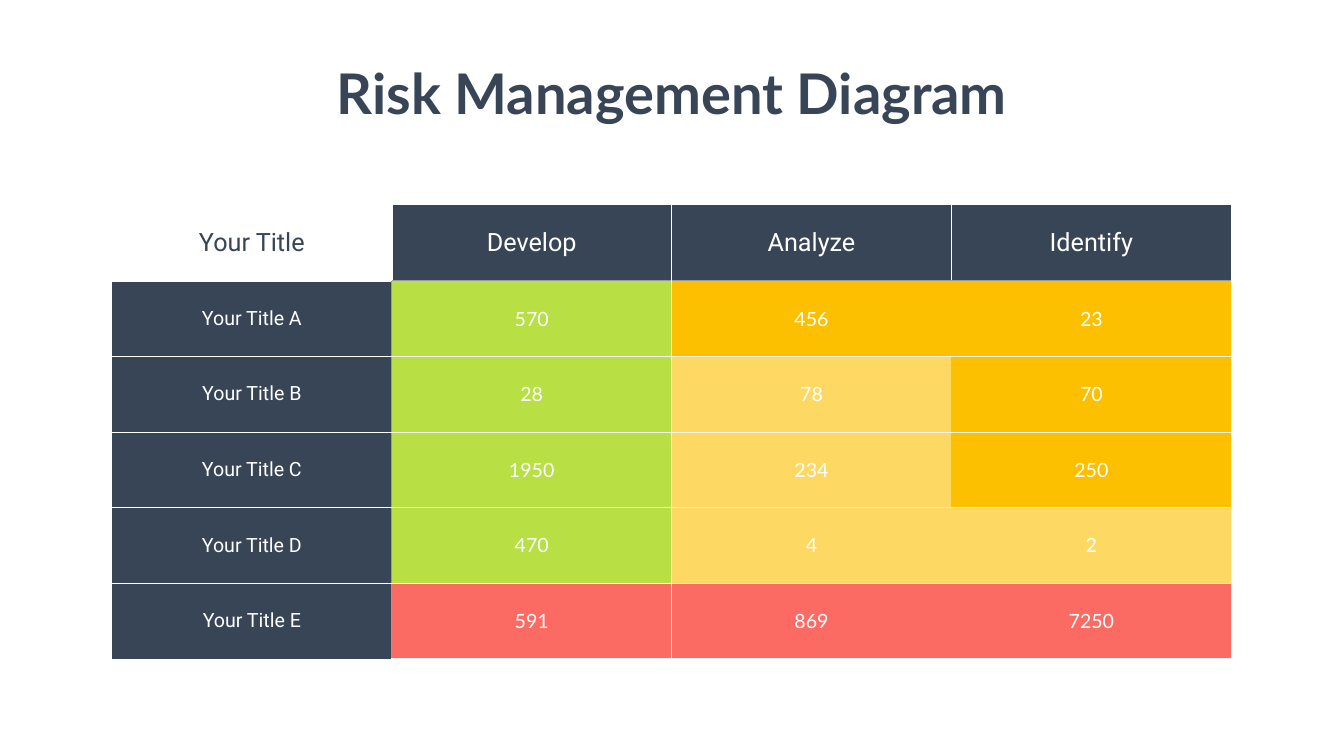
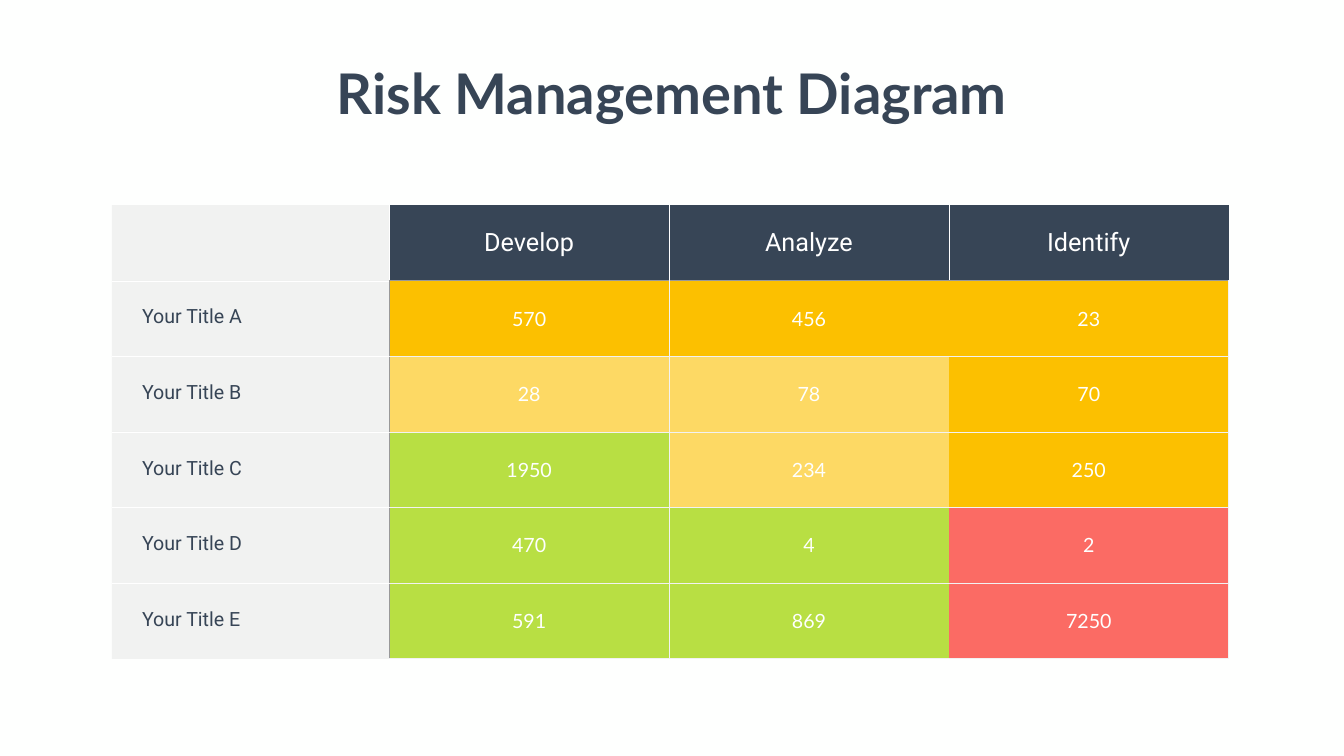
from lxml import etree
from pptx import Presentation
from pptx import util as u
from pptx.dml.color import RGBColor
from pptx.enum import text
from pptx.oxml import ns

COLORS = {
    "ink": "374556", "paper": "FEFFFE", "white": "FFFFFF", "gray": "808080",
    "rule": "999999", "pale": "F2F2F2",
    "G": "B8DF43", "Y": "FDD964", "O": "FCC000", "R": "FB6B64",
}
THIN, GRAY, PALE = ("white", 0.5), ("rule", 1), ("pale", 1)
EDGES = {"l": "lnL", "r": "lnR", "t": "lnT", "b": "lnB"}

TITLE = "Risk Management Diagram"
TITLE_BOX = [u.Cm(v) for v in (16.41, 2.84, 34.9, 3.68)]
TABLE_LEFT, TABLE_TOP = 5.64, 10.34
COLUMN_WIDTH, ROW_HEIGHT = 14.1, 3.81

STAGES = ["Develop", "Analyze", "Identify"]
LABELS = [f"Your Title {letter}" for letter in "ABCDE"]
VALUES = [[570, 456, 23], [28, 78, 70], [1950, 234, 250], [470, 4, 2], [591, 869, 7250]]

# Text formats of the cell kinds
HEADER = {"size": u.Pt(36), "name": "Roboto"}
LABEL = {"size": u.Pt(28), "name": "Roboto"}
VALUE = {"size": u.Pt(28), "name": "Lato"}
HEADING = {"size": u.Pt(80), "name": "Lato", "bold": True}

# One letter per value cell: Green, Yellow, Orange, Red
MATRICES = [
    {"corner": "Your Title", "corner_fill": ("white", None), "label_fill": ("ink", None),
     "label_color": "white", "label_column": COLUMN_WIDTH, "centred": True,
     "risks": ["GOO", "GYO", "GYO", "GYY", "RRR"]},
    {"corner": "", "corner_fill": ("gray", 10), "label_fill": ("gray", 10),
     "label_color": "ink", "label_column": 13.97, "centred": False,
     "risks": ["OOO", "YYO", "GYO", "GGR", "GGR"]},
]


def rgb(name):
    return RGBColor.from_string(COLORS[name])


def write(frame, words, style, color, centred=True):
    para = frame.paragraphs[0]
    para.alignment = text.PP_ALIGN.CENTER if centred else text.PP_ALIGN.LEFT
    span = para.add_run()
    span.text = words
    for key, value in style.items():
        setattr(span.font, key, value)
    span.font.color.rgb = rgb(color)


def set_borders(cell, borders):
    props = cell._tc.get_or_add_tcPr()
    for edge, tag in EDGES.items():
        line = etree.SubElement(props, ns.qn(f"a:{tag}"))
        if edge not in borders:
            line.set("w", "0")
            etree.SubElement(line, ns.qn("a:noFill"))
            continue
        color, width = borders[edge]
        line.set("w", str(u.Pt(width)))
        fill = etree.SubElement(line, ns.qn("a:solidFill"))
        etree.SubElement(fill, ns.qn("a:srgbClr"), val=COLORS[color])


def paint(cell, color, opacity=None):
    cell.fill.solid()
    cell.fill.fore_color.rgb = rgb(color)
    if opacity:
        tone = cell._tc.tcPr.find(f"{ns.qn('a:solidFill')}/{ns.qn('a:srgbClr')}")
        etree.SubElement(tone, ns.qn("a:alpha"), val=str(opacity * 1000))


def cell_borders(row, column):
    """Borders that follow from a cell's place in the grid."""
    if row == 0:
        borders = {"b": GRAY if column else THIN}
        if column > 0:
            borders["l"] = THIN
        if column < len(STAGES):
            borders["r"] = THIN
    elif column == 0:
        borders = {"t": THIN, "r": GRAY}
        if row < len(LABELS):
            borders["b"] = THIN
    else:
        borders = {"t": GRAY if row == 1 else PALE, "b": PALE}
        if column < 3:
            borders["l"] = GRAY if column == 1 else PALE
        if column != 2:
            borders["r"] = PALE
    return borders


def fill_cell(cell, words, style, color, fill, place, centred=True):
    cell.vertical_anchor = text.MSO_ANCHOR.MIDDLE
    if not centred:
        cell.margin_left, cell.margin_right = u.Cm(1.52), u.Cm(0.25)
        cell.margin_top, cell.margin_bottom = 0, u.Cm(0.13)
    set_borders(cell, cell_borders(*place))
    paint(cell, *fill)
    if words:
        write(cell.text_frame, words, style, color, centred)


def add_matrix(page, left, top, matrix):
    widths = [matrix["label_column"]] + [COLUMN_WIDTH] * len(STAGES)
    count = len(LABELS) + 1
    grid = page.shapes.add_table(count, len(widths), u.Cm(left), u.Cm(top),
                                 u.Cm(sum(widths)), u.Cm(ROW_HEIGHT * count)).table
    grid.first_row = grid.horz_banding = False
    for column, width in zip(grid.columns, widths):
        column.width = u.Cm(width)
    for row in grid.rows:
        row.height = u.Cm(ROW_HEIGHT)

    # Header row
    fill_cell(grid.cell(0, 0), matrix["corner"], HEADER, "ink", matrix["corner_fill"], (0, 0))
    for c, stage in enumerate(STAGES, 1):
        fill_cell(grid.cell(0, c), stage, HEADER, "white", ("ink",), (0, c))

    # Labels and values
    for r, (label, values, risks) in enumerate(zip(LABELS, VALUES, matrix["risks"]), 1):
        fill_cell(grid.cell(r, 0), label, LABEL, matrix["label_color"],
                  matrix["label_fill"], (r, 0), matrix["centred"])
        for c, (value, risk) in enumerate(zip(values, risks), 1):
            fill_cell(grid.cell(r, c), str(value), VALUE, "paper", (risk,), (r, c))


def add_title(page, box):
    title = page.shapes.title
    title.left, title.top, title.width, title.height = box
    frame = title.text_frame
    frame.word_wrap = False
    frame.auto_size = text.MSO_AUTO_SIZE.SHAPE_TO_FIT_TEXT
    frame.vertical_anchor = text.MSO_ANCHOR.TOP
    write(frame, TITLE, HEADING, "ink")


def main():
    deck = Presentation()
    deck.slide_width, deck.slide_height = u.Cm(67.72), u.Cm(38.1)
    background = deck.slide_master.background.fill
    background.solid()
    background.fore_color.rgb = rgb("paper")
    for matrix in MATRICES:
        page = deck.slides.add_slide(deck.slide_layouts[5])
        add_matrix(page, TABLE_LEFT, TABLE_TOP, matrix)
        add_title(page, TITLE_BOX)
    deck.save("out.pptx")


if __name__ == "__main__":
    main()
